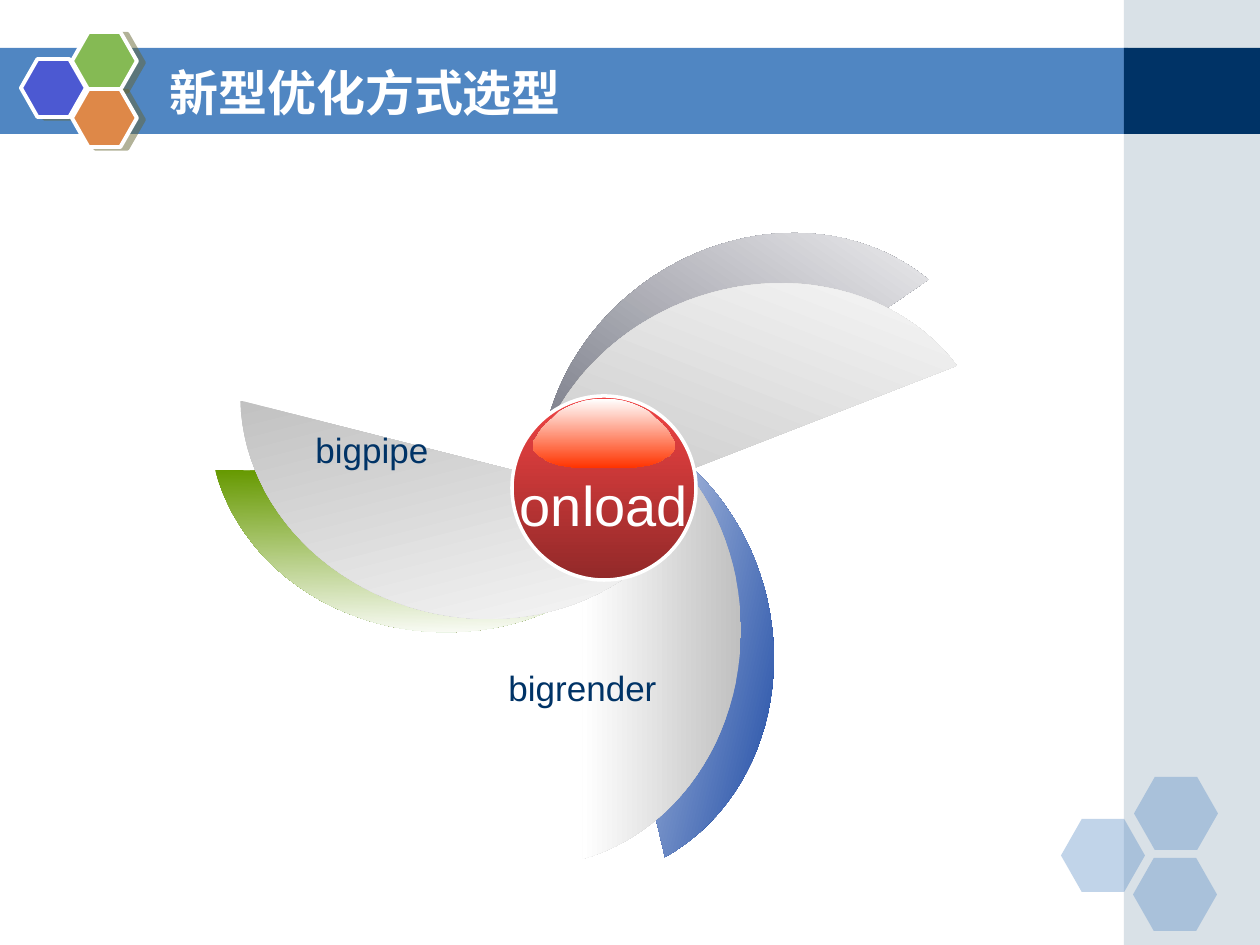
import math
from dataclasses import dataclass

import lxml.etree
import pptx
import pptx.dml.color
import pptx.enum.shapes
import pptx.enum.text
import pptx.oxml.ns
import pptx.util

RGB = pptx.dml.color.RGBColor
SHAPES = pptx.enum.shapes.MSO_SHAPE
ALIGN = pptx.enum.text.PP_ALIGN
ANCHOR = pptx.enum.text.MSO_ANCHOR
AUTOSIZE = pptx.enum.text.MSO_AUTO_SIZE
qn = pptx.oxml.ns.qn

PX_PER_INCH = 126
SCALE = 914400 / PX_PER_INCH
OUTLINE_STEPS_PER_PX = 10

WHITE = RGB(0xFF, 0xFF, 0xFF)
NAVY = RGB(0x00, 0x33, 0x66)
STEEL = RGB(0x50, 0x86, 0xC2)
MIST = RGB(0xA0, 0xB5, 0xC4)
INDIGO = RGB(0x4C, 0x59, 0xD2)
GREEN = RGB(0x85, 0xBA, 0x54)
ORANGE = RGB(0xDE, 0x88, 0x48)
OLIVE = RGB(0x66, 0x66, 0x33)
SILVER = RGB(0xC0, 0xC0, 0xC0)
BLUE = RGB(0x00, 0x33, 0x99)
LEAF = RGB(0x66, 0x99, 0x00)
SLATE = RGB(0x56, 0x58, 0x68)
RED = RGB(0xF1, 0x43, 0x43)
MAROON = RGB(0x92, 0x29, 0x29)
FLAME = RGB(0xFF, 0x33, 0x00)

BLADE_HALF_HEIGHT = 229
BLADE_RADIUS_X = 209
BLADE_RADIUS_Y = 236
BLADE_CUT = 50
BLADE_SEGMENTS = 48
GLOSS_HALF = [(0, 0), (10, 0), (20, 2), (29, 5), (38, 9), (45, 13), (51, 19),
              (58, 25), (64, 32), (68, 39), (71, 43), (71, 50), (69, 53),
              (65, 57), (61, 59), (57, 62), (52, 64), (46, 66), (40, 67),
              (33, 68), (25, 69), (17, 69)]


@dataclass(frozen=True)
class Hexagon:
    left: int
    top: int
    color: RGB


@dataclass(frozen=True)
class Blade:
    left: int
    top: int
    rotation: float
    color: RGB


@dataclass(frozen=True)
class Label:
    text: str
    box: tuple[int, int, int, int]
    size: int
    color: RGB
    align: ALIGN


CORNER_HEXAGONS = [Hexagon(1061, 819, STEEL), Hexagon(1134, 777, STEEL),
                   Hexagon(1133, 858, STEEL)]
EMBLEM_HEXAGONS = [Hexagon(21, 59, INDIGO), Hexagon(72, 32, GREEN),
                   Hexagon(72, 89, ORANGE)]
BLADES = [Blade(610, 387, 346.8, BLUE), Blade(363, 324, 91, LEAF),
          Blade(615, 115, 235.5, SLATE), Blade(582, 401, 0, SILVER),
          Blade(363, 305, 104.3, SILVER), Blade(635, 146, 248.7, SILVER)]
LABELS = [Label("onload", (484, 464, 240, 80), 32, WHITE, ALIGN.CENTER),
          Label("bigpipe", (292, 422, 149, 55), 20, NAVY, ALIGN.RIGHT),
          Label("bigrender", (486, 660, 183, 55), 20, NAVY, ALIGN.RIGHT)]


def px(length: int) -> int:
    return pptx.util.Emu(round(length * SCALE))


def fill_solid(shape, color: RGB, alpha: int = 100) -> None:
    shape.fill.solid()
    shape.fill.fore_color.rgb = color
    if alpha < 100:
        swatch = shape._element.spPr.find(qn("a:solidFill"))[0]
        lxml.etree.SubElement(swatch, qn("a:alpha"), val=str(alpha * 1000))


def fill_gradient(shape, start: RGB, end: RGB, angle: float) -> None:
    shape.fill.gradient()
    for stop, color, position in zip(shape.fill.gradient_stops, (start, end), (0, 1)):
        stop.color.rgb = color
        stop.position = position
    shape.fill.gradient_angle = -angle % 360
    shape._element.spPr.find(qn("a:gradFill")).set("rotWithShape", "0")


def set_line(shape, width: float = 0) -> None:
    if width:
        shape.line.color.rgb = WHITE
        shape.line.width = pptx.util.Pt(width)
    else:
        shape.line.fill.background()


def add_preset(slide, kind: SHAPES, box: tuple[int, int, int, int], line: float = 0):
    shape = slide.shapes.add_shape(kind, *map(px, box))
    shape.shadow.inherit = False
    set_line(shape, line)
    return shape


def add_outline(slide, points: list[tuple[float, float]], left: int, top: int):
    steps = [(round(x * OUTLINE_STEPS_PER_PX), round(y * OUTLINE_STEPS_PER_PX))
             for x, y in points]
    builder = slide.shapes.build_freeform(*steps[0], scale=SCALE / OUTLINE_STEPS_PER_PX)
    builder.add_line_segments(steps[1:], close=True)
    shape = builder.convert_to_shape(px(left), px(top))
    shape.shadow.inherit = False
    set_line(shape)
    return shape


def add_hexagon(slide, hexagon: Hexagon, width: int, height: int,
                alpha: int = 100, line: float = 0):
    shape = add_preset(slide, SHAPES.HEXAGON,
                       (hexagon.left, hexagon.top, width, height), line)
    shape.adjustments[0] = 0.285
    shape.adjustments[1] = 1.155
    fill_solid(shape, hexagon.color, alpha)
    return shape


def add_drop_shadow(shape) -> None:
    effects = shape._element.spPr.find(qn("a:effectLst"))
    shadow = lxml.etree.SubElement(
        effects, qn("a:outerShdw"), dist=str(pptx.util.Pt(4.1)),
        dir=str(14 * 60000), algn="ctr", rotWithShape="0")
    swatch = lxml.etree.SubElement(shadow, qn("a:srgbClr"), val=str(OLIVE))
    lxml.etree.SubElement(swatch, qn("a:alpha"), val="50000")


def blade_points() -> list[tuple[float, float]]:
    reach = math.asin(BLADE_HALF_HEIGHT / BLADE_RADIUS_Y)
    angles = [reach * (2 * i / BLADE_SEGMENTS - 1) for i in range(BLADE_SEGMENTS + 1)]
    return [(BLADE_RADIUS_X * math.cos(angle) - BLADE_CUT,
             BLADE_RADIUS_Y * math.sin(angle) + BLADE_HALF_HEIGHT) for angle in angles]


def add_blade(slide, blade: Blade) -> None:
    shape = add_outline(slide, blade_points(), blade.left, blade.top)
    shape.rotation = blade.rotation
    fill_gradient(shape, blade.color, WHITE, (180 - blade.rotation) % 360)


def add_text(slide, text: str, box: tuple[int, int, int, int], *, size: int,
             color: RGB, font: str = "Arial", bold: bool = False,
             align: ALIGN = ALIGN.LEFT, anchor: ANCHOR = ANCHOR.TOP,
             wrap: bool = False) -> None:
    frame = slide.shapes.add_textbox(*map(px, box)).text_frame
    frame.word_wrap = wrap
    frame.auto_size = AUTOSIZE.NONE
    frame.vertical_anchor = anchor
    paragraph = frame.paragraphs[0]
    paragraph.alignment = align
    run = paragraph.add_run()
    run.text = text
    run.font.name = font
    run.font.size = pptx.util.Pt(size)
    run.font.bold = bold
    run.font.color.rgb = color


def main() -> None:
    deck = pptx.Presentation()
    deck.slide_width, deck.slide_height = px(1260), px(945)
    slide = deck.slides.add_slide(deck.slide_layouts[6])

    title_band = add_preset(slide, SHAPES.RECTANGLE, (0, 48, 1128, 86))
    fill_solid(title_band, STEEL)
    side_panel = add_preset(slide, SHAPES.RECTANGLE, (1124, 0, 136, 945))
    fill_solid(side_panel, MIST, 40)
    band_end = add_preset(slide, SHAPES.RECTANGLE, (1124, 48, 136, 86))
    fill_solid(band_end, NAVY)

    for hexagon in CORNER_HEXAGONS:
        add_hexagon(slide, hexagon, 84, 73, alpha=35)
    for hexagon in EMBLEM_HEXAGONS:
        add_drop_shadow(add_hexagon(slide, hexagon, 65, 58, line=2.25))
    add_text(slide, "新型优化方式选型", (157, 53, 924, 78), size=28, color=WHITE,
             font="DejaVu Sans", bold=True, anchor=ANCHOR.MIDDLE, wrap=True)

    for blade in BLADES:
        add_blade(slide, blade)
    sphere = add_preset(slide, SHAPES.OVAL, (512, 396, 184, 184), line=2)
    fill_gradient(sphere, RED, MAROON, 90)
    left_half = [(-x, y) for x, y in reversed(GLOSS_HALF[1:])]
    gloss = add_outline(slide, GLOSS_HALF + left_half, 604, 399)
    fill_gradient(gloss, WHITE, FLAME, 90)

    for label in LABELS:
        add_text(slide, label.text, label.box, size=label.size,
                 color=label.color, align=label.align)
    deck.save("out.pptx")


if __name__ == "__main__":
    main()
